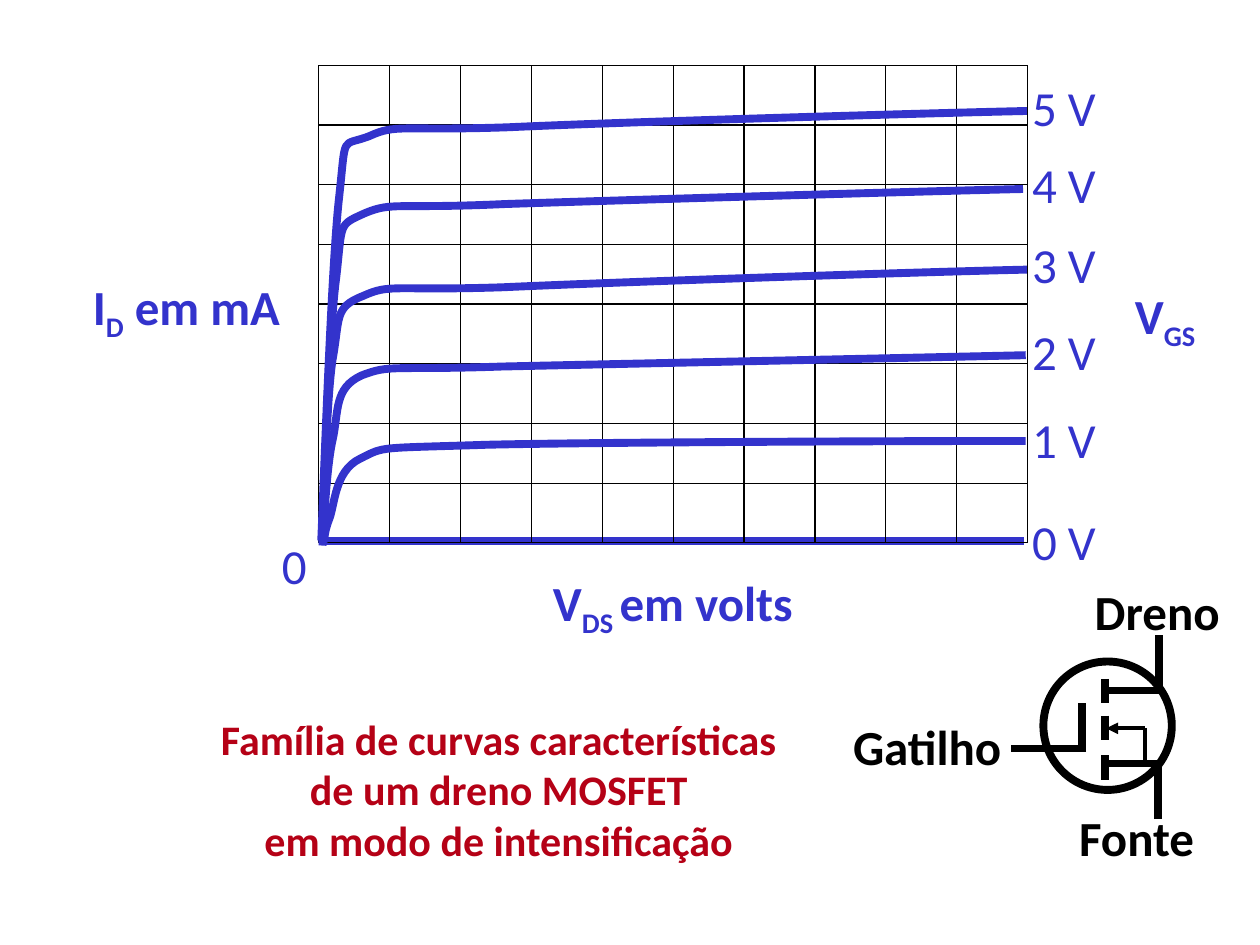
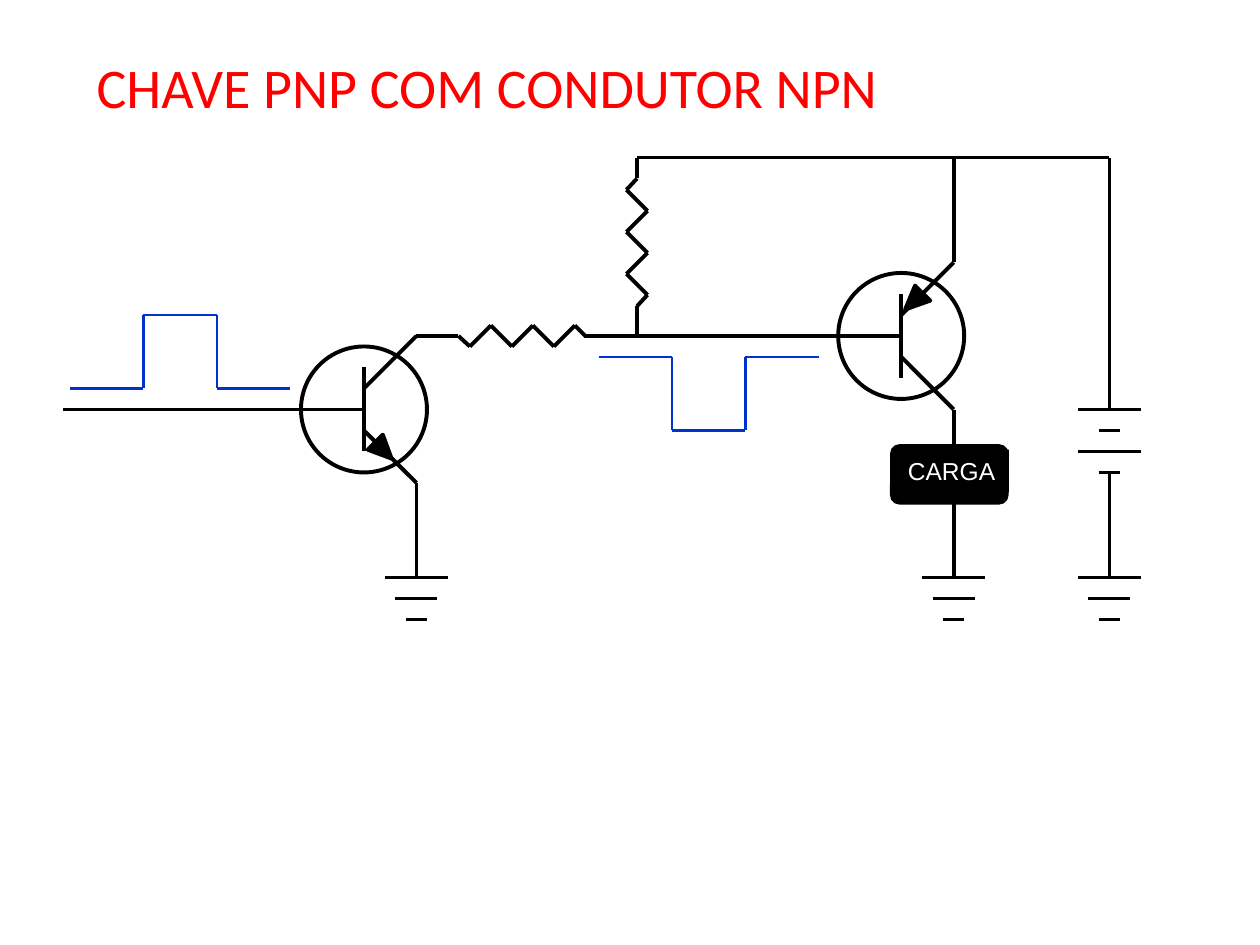
from itertools import pairwise

from lxml.etree import SubElement
from pptx import Presentation
from pptx.dml.color import RGBColor
from pptx.enum.shapes import MSO_CONNECTOR as Link, MSO_SHAPE as Kind
from pptx.enum.text import MSO_ANCHOR as Anchor, MSO_AUTO_SIZE as Fit, PP_ALIGN as Align
from pptx.oxml.ns import qn
from pptx.util import Pt

BLUE, RED, BLACK, WHITE = "3333CC", "FF0000", "000000", "FFFFFF"
PULSE, WINE = "0033CC", "B50116"
rgb = RGBColor.from_string


def label(frame, text, size=28, hue=BLUE, bold=False, font="Calibri", align=Align.LEFT):
    """Fill a frame; parts between underscores become subscripts."""
    frame.word_wrap = False
    for row, line in enumerate(text.split("\n")):
        para = frame.add_paragraph() if row else frame.paragraphs[0]
        para.alignment = align
        for spot, part in enumerate(line.split("_")):
            if not part:
                continue
            run = para.add_run()
            run.text = part
            run.font.size, run.font.bold, run.font.name = Pt(size), bold, font
            run.font.color.rgb = rgb(hue)
            if spot % 2:
                run.font._element.set("baseline", "-25000")


def wire(slide, *dots, hue=BLACK, width=2.25):
    """Join the dots with straight lines and return the last one."""
    for (x1, y1), (x2, y2) in pairwise(dots):
        line = slide.shapes.add_connector(Link.STRAIGHT, Pt(x1), Pt(y1), Pt(x2), Pt(y2))
        line.line.color.rgb = rgb(hue)
        line.line.width = Pt(width)
        SubElement(line._element.spPr, qn("a:effectLst"))
    return line


deck = Presentation()
deck.slide_width, deck.slide_height = Pt(720), Pt(540)
inked = []  # shape, fill, line colour, line width

# Slide 1: drain curves
slide = deck.slides.add_slide(deck.slide_layouts[6])
wire(slide, (183.6, 308.9), (585.4, 308.9), hue=BLUE, width=4.5)

# Grid
left, top, wide, high = 182.2, 37.4, 40.5, 34.1
right, base = left + 10 * wide, top + 8 * high
for col in range(11):
    x = left + col * wide
    wire(slide, (x, top), (x, base), width=0.75)
for row in range(9):
    y = top + row * high
    wire(slide, (left, y), (right, y), width=0.75)

# Curves: a start, then three points for each Bezier piece
curves = [
    [(183.6, 308.9), (185, 276.5), (189.4, 152.6), (193.7, 113.8),
     (198, 74.9), (194.4, 84.2), (211, 77.8),
     (226.8, 70.6), (228.2, 74.9), (290.9, 72.7),
     (353.5, 69.8), (524.9, 64.8), (586.8, 63.4)],
    [(184.3, 310.3), (185, 284.4), (187.9, 189.4), (192.2, 158.4),
     (195.8, 126.7), (193, 128.9), (208.8, 121.7),
     (224.6, 115.2), (226.1, 119.5), (288.7, 116.6),
     (351.4, 114.5), (523.4, 109.4), (584.6, 108)],
    [(184.3, 310.3), (185, 292.3), (186.5, 228.2), (190.1, 205.2),
     (194.4, 181.4), (190.8, 175.7), (207.4, 169.2),
     (223.2, 162), (223.9, 166.3), (287.3, 164.2),
     (350.6, 161.3), (524.2, 155.5), (586.8, 154.1)],
    [(184.3, 311.8), (185, 301.7), (186.5, 267.1), (190.1, 251.3),
     (193.7, 234.7), (190.8, 221.8), (206.6, 214.6),
     (223.2, 208.1), (223.9, 211.7), (286.6, 209.5),
     (349.9, 208.1), (523.4, 204.5), (586.1, 203)],
    [(185, 309.6), (185.8, 307.4), (185, 305.3), (187.9, 297.4),
     (191.5, 289.4), (190.8, 269.3), (205.9, 262.1),
     (220.3, 254.9), (214.6, 256.3), (277.9, 254.2),
     (341.3, 252.7), (521.3, 252), (586.1, 252)],
]
for curve in curves:
    dots = [(Pt(x), Pt(y)) for x, y in curve]
    pen = slide.shapes.build_freeform(*dots[0])
    pen.add_line_segments(dots[1:], close=False)
    shape = pen.convert_to_shape()
    # Turn each three straight pieces into one Bezier piece
    route = shape._element.find(".//" + qn("a:path"))
    legs = route.findall(qn("a:lnTo"))
    for n in range(0, len(legs), 3):
        bend = SubElement(route, qn("a:cubicBezTo"))
        for leg in legs[n:n + 3]:
            bend.append(leg[0])
            route.remove(leg)
    inked.append((shape, None, BLUE, 4.5))

# Labels
bold = {"bold": True}
dark = {"bold": True, "hue": BLACK}
notes = [
    ("0", 154, 302.4, 29, {}),
    ("V_DS _em volts", 308.9, 323.5, 156, bold),
    ("I_D_ em mA", 46, 154.4, 125, bold),
    ("V_GS_", 641.5, 159.4, 52, bold),
    ("Dreno", 618.5, 329, 86, dark),
    ("Fonte", 609.6, 458, 81, dark),
    ("Gatilho", 480.4, 406, 100, dark),
    ("Família de curvas características \nde um dreno MOSFET \nem modo de intensificação ",
     117.2, 404, 341, {"size": 24, "hue": WINE, "bold": True, "align": Align.CENTER}),
]
for volt, y in enumerate((288.7, 230.4, 180, 130.3, 85, 41)):
    notes.append((f"{volt} V", 582.7, y, 51, {}))
for text, x, y, w, form in notes:
    box = slide.shapes.add_textbox(Pt(x), Pt(y), Pt(w), Pt(94.3 if "\n" in text else 41))
    label(box.text_frame, text, **form)
    box.text_frame.auto_size = Fit.SHAPE_TO_FIT_TEXT

# Transistor symbol
ring = slide.shapes.add_shape(Kind.OVAL, Pt(596.2), Pt(378), Pt(73.4), Pt(73.4))
inked.append((ring, None, BLACK, 4.5))
for dots in (
    [(620.6, 427.7), (578, 427.7)],
    [(618.5, 401.8), (618.5, 429.1)],
    [(633, 436.3), (663.8, 436.3)],
    [(661.7, 468), (661.7, 437)],
    [(633.6, 394.6), (664.6, 394.6)],
    [(662.4, 393.8), (662.4, 362.9)],
    [(631.4, 388), (631.4, 402)],
    [(631.4, 409), (631.4, 423)],
    [(631.4, 431.5), (631.4, 445.5)],
):
    wire(slide, *dots, width=4.5)
tip = wire(slide, (654.5, 435.6), (654.5, 416.2), (632.2, 416.2))
SubElement(tip.line._get_or_add_ln(), qn("a:tailEnd"), type="triangle")

# Slide 2: PNP switch
slide = deck.slides.add_slide(deck.slide_layouts[5])
title = slide.shapes.title
title.left, title.top, title.width, title.height = Pt(48), Pt(26.2), Pt(472.3), Pt(46)
label(title.text_frame, "CHAVE PNP COM CONDUTOR NPN", size=32, hue=RED)
title.text_frame.vertical_anchor = Anchor.TOP

# Transistors: centre, start of base wire, arrow offsets
for x, y, start, arrow in (
    (208, 234, 36, [(6.5, 18.7), (10.8, 14.4), (15.8, 28.1), (2.2, 23)]),
    (515, 192, 334, [(12.2, -24.5), (7.9, -28.8), (2.2, -15.1), (16.6, -20.2)]),
):
    ring = slide.shapes.add_shape(Kind.OVAL, Pt(x - 36), Pt(y - 36), Pt(72), Pt(72))
    inked.append((ring, None, BLACK, 2.25))
    dots = [(Pt(x + dx), Pt(y + dy)) for dx, dy in arrow]
    pen = slide.shapes.build_freeform(*dots[0])
    pen.add_line_segments(dots[1:])
    inked.append((pen.convert_to_shape(), BLACK, BLACK, 2.25))
    wire(slide, (start, y), (x, y))
    wire(slide, (x, y - 24), (x, y + 24))
    for side in (-1, 1):
        wire(slide, (x, y + 12 * side), (x + 30, y + 42 * side))

# Resistors
zig = [(12 * n, 6 if n % 2 else -6) for n in range(6)]
wire(slide, (364, 90), (364, 102), *[(364 + b, 108.5 + a) for a, b in zig],
     (364, 175), (364, 192))
wire(slide, (238, 192), (262, 192), *[(268.5 + a, 192 - b) for a, b in zig],
     (334.5, 192))

# Supply wires
wire(slide, (364, 90), (634, 90))
for x, y, end in ((634, 90, 234), (634, 270, 330), (545, 90, 150),
                  (545, 234, 258), (545, 288, 330), (238, 276, 330)):
    wire(slide, (x, y), (x, end))

# Battery and grounds
plates = [(634, 234 + 12 * n, 6 if n % 2 else 18) for n in range(4)]
plates += [(x, 330 + 12 * n, 18 - 6 * n) for x in (238, 545, 634) for n in range(3)]
for x, y, half in plates:
    wire(slide, (x - half, y), (x + half, y))

# Load
load = slide.shapes.add_shape(Kind.ROUNDED_RECTANGLE, Pt(509), Pt(254.2), Pt(67), Pt(33.8))
load.adjustments[0] = 0.15
inked.append((load, BLACK, BLACK, 0.75))
plate = slide.shapes.add_shape(Kind.RECTANGLE, Pt(511.7), Pt(257), Pt(64.8), Pt(24.5))
inked.append((plate, BLACK, None, 0))
label(plate.text_frame, "CARGA", size=14, hue=WHITE, font="Arial")

# Pulses
for x, y, rise in ((40, 222, -42), (342, 204, 42)):
    wire(slide, (x, y), (x + 42, y), (x + 42, y + rise), (x + 84, y + rise),
         (x + 84, y), (x + 126, y), hue=PULSE, width=1.5)

# Fills and outlines
for shape, fill, hue, width in inked:
    shape.shadow.inherit = False
    for part, tone in ((shape.fill, fill), (shape.line.fill, hue)):
        if tone:
            part.solid()
            part.fore_color.rgb = rgb(tone)
        else:
            part.background()
    if hue:
        shape.line.width = Pt(width)

deck.save("out.pptx")
